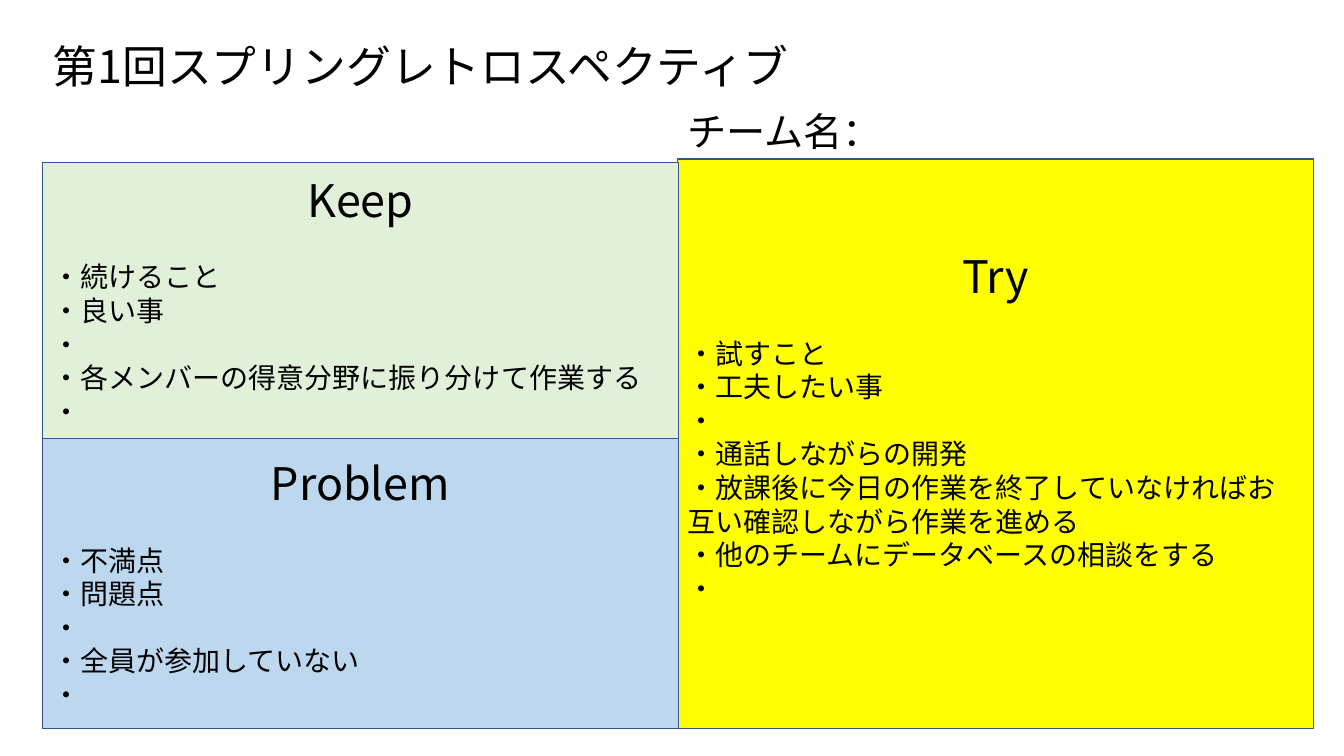
"""Builds a Keep / Problem / Try retrospective board on one slide."""
from lxml.etree import SubElement
from pptx import Presentation
from pptx.dml.color import RGBColor as Rgb
from pptx.enum.shapes import MSO_SHAPE as Preset
from pptx.enum.text import MSO_ANCHOR as Anchor, PP_ALIGN as Align
from pptx.oxml.ns import qn
from pptx.util import Cm, Pt

COLOURS = {"ink": "000000", "border": "325491", "keep": "E2F0D9",
           "problem": "BDD7EE", "try": "FFFF00"}
FONT = "Noto Sans CJK JP"
HEADING, BODY, LEADING = 32, 20, 1.2


class Board:
    """Holds the style and the current slide."""

    def __init__(self, deck):
        self.slide = deck.slides.add_slide(deck.slide_layouts[5])

    def colour(self, name):
        return Rgb.from_string(COLOURS[name])

    def add_text(self, paragraph, text, size, align=Align.LEFT):
        paragraph.alignment = align
        run = paragraph.add_run()
        run.text = text
        run.font.size = Pt(size)
        run.font.name = FONT
        run.font.color.rgb = self.colour("ink")
        SubElement(run.font._element, qn("a:ea")).set("typeface", FONT)

    def title(self, text, left, top, width, height):
        heading = self.slide.shapes.title
        heading.left, heading.top = Cm(left), Cm(top)
        heading.width, heading.height = Cm(width), Cm(height)
        frame = heading.text_frame
        frame.vertical_anchor = Anchor.MIDDLE
        frame.paragraphs[0].line_spacing = 0.9
        self.add_text(frame.paragraphs[0], text, HEADING)

    def label(self, text, size, *box):
        frame = self.slide.shapes.add_textbox(*map(Cm, box)).text_frame
        frame.word_wrap = True
        paragraph = frame.paragraphs[0]
        paragraph.line_spacing = Pt(size * LEADING)
        self.add_text(paragraph, text, size)

    def panel(self, heading, items, fill, *box, bottom=0.13):
        panel = self.slide.shapes.add_shape(Preset.RECTANGLE, *map(Cm, box))
        panel.shadow.inherit = False
        panel.fill.solid()
        panel.fill.fore_color.rgb = self.colour(fill)
        panel.line.color.rgb = self.colour("border")
        panel.line.width = Pt(1)
        frame = panel.text_frame
        frame.word_wrap = True
        frame.vertical_anchor = Anchor.MIDDLE
        frame.margin_bottom = Cm(bottom)
        first = frame.paragraphs[0]
        first.line_spacing = Pt(HEADING * LEADING)
        first.space_after = Pt(BODY * LEADING)
        self.add_text(first, heading, HEADING, Align.CENTER)
        for item in items:
            paragraph = frame.add_paragraph()
            paragraph.line_spacing = Pt(BODY * LEADING)
            self.add_text(paragraph, "・" + item, BODY)


deck = Presentation()
deck.slide_width, deck.slide_height = Cm(33.87), Cm(19.05)
board = Board(deck)

left, middle, column = 1.07, 17.07, 16.03
keep_top, problem_top, try_top, bottom = 4.09, 11.05, 4.01, 18.36

board.title("第1回スプリングレトロスペクティブ", left, 0.69, 31.7, 2.08)
board.panel("Try", ["試すこと", "工夫したい事", "", "通話しながらの開発",
                    "放課後に今日の作業を終了していなければお互い確認しながら作業を進める",
                    "他のチームにデータベースの相談をする", ""],
            "try", middle, try_top, column, bottom - try_top, bottom=0.98)
board.panel("Keep", ["続けること", "良い事", "", "各メンバーの得意分野に振り分けて作業する", ""],
            "keep", left, keep_top, column, problem_top - keep_top)
board.panel("Problem", ["不満点", "問題点", "", "全員が参加していない", ""],
            "problem", left, problem_top, column, bottom - problem_top)
board.label("チーム名：", 28, middle, 2.57, column, 1.45)

deck.save("out.pptx")
